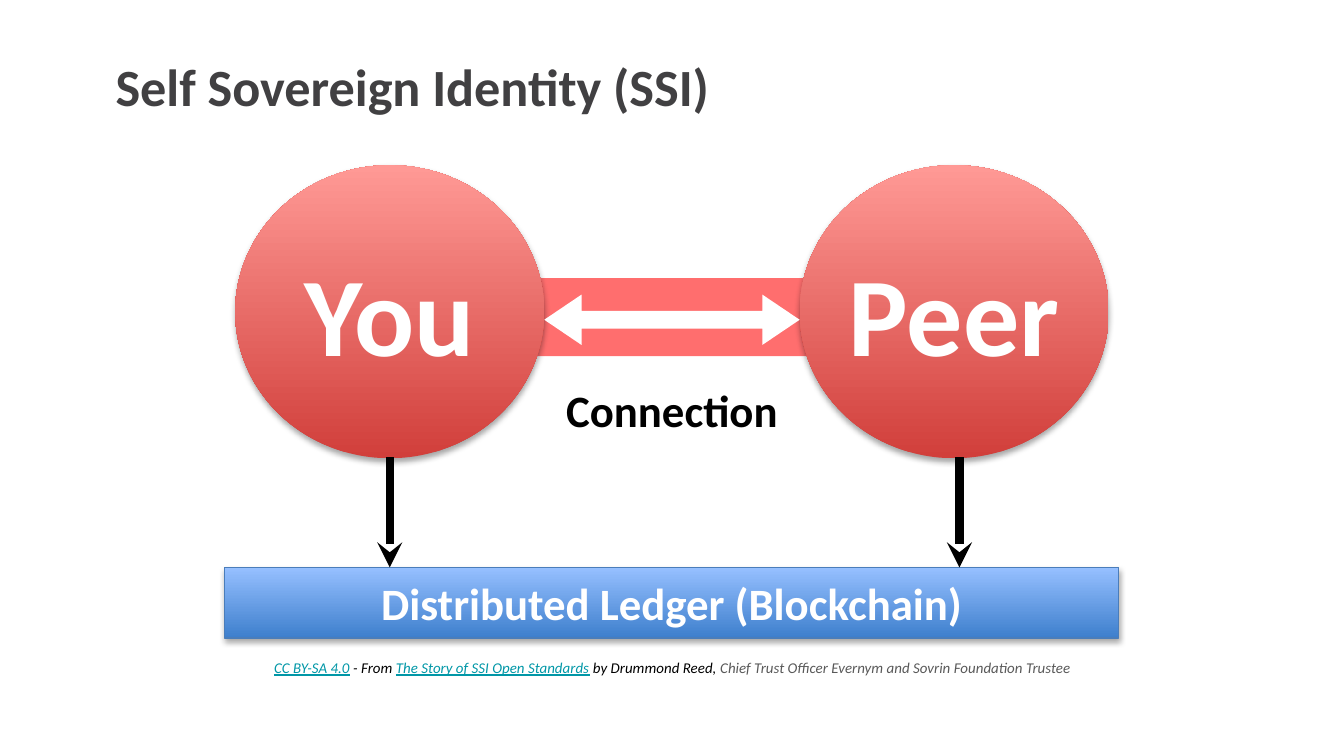
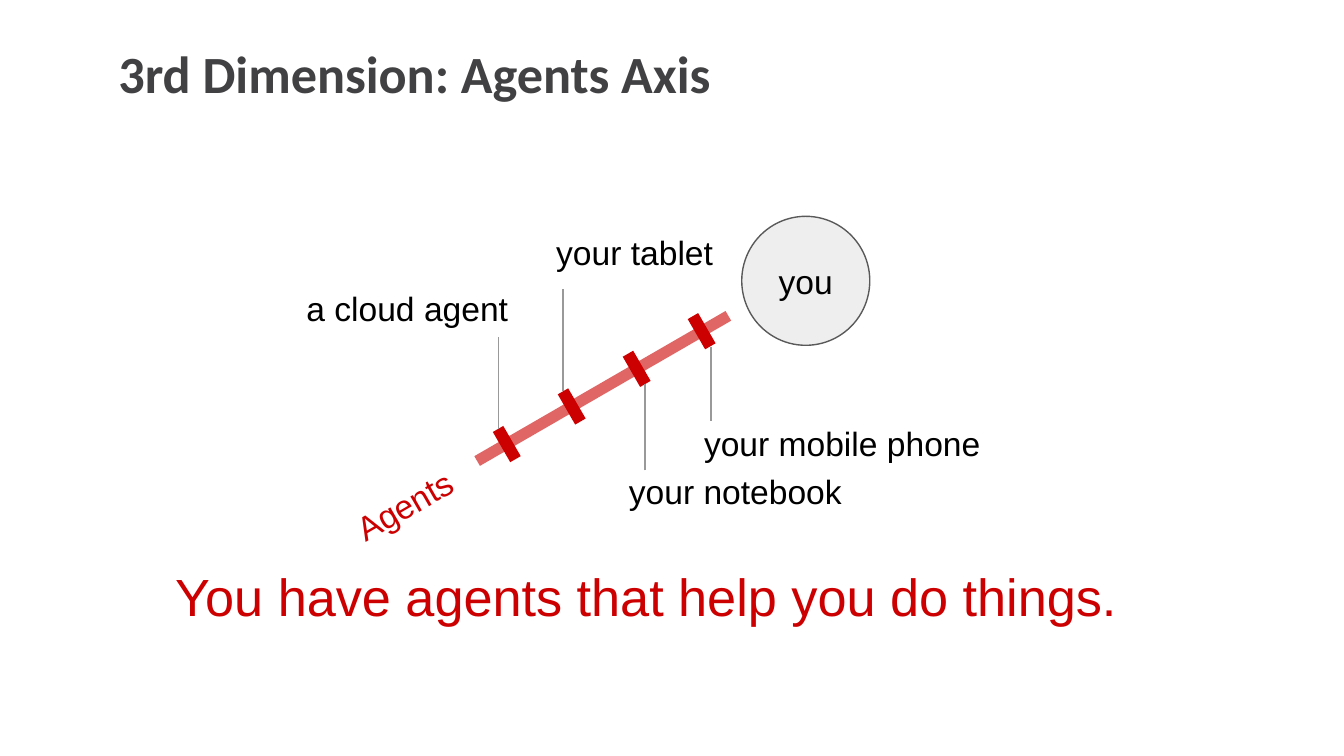
from lxml import etree
from pptx import Presentation
from pptx.dml.color import RGBColor
from pptx.enum.shapes import MSO_CONNECTOR, MSO_SHAPE
from pptx.enum.text import MSO_ANCHOR, MSO_AUTO_SIZE, PP_ALIGN
from pptx.oxml import parse_xml
from pptx.oxml.ns import nsdecls, qn
from pptx.util import Pt

RECTANGLE, OVAL = MSO_SHAPE.RECTANGLE, MSO_SHAPE.OVAL
DOUBLE_ARROW, STRAIGHT = MSO_SHAPE.LEFT_RIGHT_ARROW, MSO_CONNECTOR.STRAIGHT
TOP, MIDDLE = MSO_ANCHOR.TOP, MSO_ANCHOR.MIDDLE
LEFT, CENTER, RIGHT = PP_ALIGN.LEFT, PP_ALIGN.CENTER, PP_ALIGN.RIGHT
FIXED = MSO_AUTO_SIZE.NONE

COLORS = {name: RGBColor.from_string(value) for name, value in {
    "title": "414042", "black": "000000", "white": "FFFFFF", "gray": "595959",
    "link": "0097A7", "band": "FF0000", "red dark": "D13F3B", "red light": "FF9995",
    "blue dark": "3E7FCD", "blue light": "96C0FF", "blue line": "4A7DBA",
    "agent": "CC0000", "axis": "E06666", "leader": "999999", "pale": "EEEEEE",
}.items()}
SHADOW = (f'<a:outerShdw {nsdecls("a")} blurRad="40000" dist="23000" dir="5400000" '
          'rotWithShape="0"><a:srgbClr val="000000"><a:alpha val="35000"/>'
          '</a:srgbClr></a:outerShdw>')


def add_text(box, text, size=18, font="Arial", color="black", bold=False, italic=False,
             underline=False, align=LEFT, anchor=MIDDLE, inset_x=7.2, inset_y=7.2):
    """Append a run to the first paragraph of a box and format both."""
    frame = box.text_frame
    frame.auto_size, frame.word_wrap, frame.vertical_anchor = FIXED, True, anchor
    frame.margin_left = frame.margin_right = Pt(inset_x)
    frame.margin_top = frame.margin_bottom = Pt(inset_y)
    para = frame.paragraphs[0]
    para.alignment = align
    span = para.add_run()
    span.text = text
    span.font.size, span.font.name = Pt(size), font
    span.font.bold, span.font.italic, span.font.underline = bold, italic, underline
    span.font.color.rgb = COLORS[color]


def add_line(page, start_x, start_y, end_x, end_y, color, width):
    line = page.shapes.add_connector(STRAIGHT, Pt(start_x), Pt(start_y), Pt(end_x), Pt(end_y))
    line.line.color.rgb, line.line.width = COLORS[color], Pt(width)
    etree.SubElement(line._element.spPr, qn("a:effectLst"))
    return line


deck = Presentation()
deck.slide_width, deck.slide_height = Pt(720), Pt(405)

# Pages and their titles
pages = []
for title_text, left, top in [("Self Sovereign Identity (SSI)", 54.7, 21.6),
                              ("3rd Dimension: Agents Axis", 56.2, 15.1)]:
    page = deck.slides.add_slide(deck.slide_layouts[5])
    title = page.shapes.title
    title.left, title.top, title.width, title.height = Pt(left), Pt(top), Pt(600), Pt(46)
    add_text(title, title_text, size=28, font="Calibri", color="title", bold=True, anchor=TOP)
    pages.append(page)
identity_page, agents_page = pages

# Identity: translucent band behind the circles
band = identity_page.shapes.add_shape(RECTANGLE, Pt(262.8), Pt(149), Pt(193.7), Pt(41.8))
band.shadow.inherit = False
band.fill.solid()
band.fill.fore_color.rgb = COLORS["band"]
band.line.fill.background()
band_color = band._element.spPr.find(qn("a:solidFill"))[0]
etree.SubElement(band_color, qn("a:alpha"), val="57000")

# Identity: shaded circles and ledger bar
for text, shape_kind, left, top, width, height, hue, size, inset in [
        ("Peer", OVAL, 428.4, 88.5, 165.6, 157, "red", 60, 0),
        ("You", OVAL, 126, 88.5, 165.6, 157, "red", 60, 7.2),
        ("Distributed Ledger (Blockchain)", RECTANGLE, 120.4, 304, 479, 37.8, "blue", 24, 7.2)]:
    box = identity_page.shapes.add_shape(shape_kind, Pt(left), Pt(top), Pt(width), Pt(height))
    box.fill.gradient()
    box.fill.gradient_angle = 90
    for stop, shade in zip(box.fill.gradient_stops, ("dark", "light")):
        stop.color.rgb = COLORS[f"{hue} {shade}"]
    if shape_kind == RECTANGLE:
        box.line.color.rgb, box.line.width = COLORS["blue line"], Pt(0.75)
    else:
        box.line.fill.background()
    box.shadow.inherit = False
    box._element.spPr.find(qn("a:effectLst")).append(parse_xml(SHADOW))
    add_text(box, text, size=size, font="Calibri", color="white", bold=True,
             align=CENTER, inset_x=inset, inset_y=3.6)

# Identity: connection arrow and its label
arrow = identity_page.shapes.add_shape(DOUBLE_ARROW, Pt(291.6), Pt(157.8), Pt(136.8), Pt(27))
arrow.adjustments[0], arrow.adjustments[1] = 0.35, 0.74
arrow.shadow.inherit = False
arrow.fill.solid()
arrow.fill.fore_color.rgb = COLORS["white"]
arrow.line.fill.background()
label = identity_page.shapes.add_textbox(Pt(288), Pt(201.6), Pt(144), Pt(32.4))
add_text(label, "Connection", size=24, font="Calibri", bold=True,
         align=CENTER, anchor=TOP, inset_y=3.6)

# Identity: arrows down to the ledger
for x in (208.8, 514):
    line = add_line(identity_page, x, 245, x, 304, "black", 4.5)
    etree.SubElement(line.line._get_or_add_ln(), qn("a:tailEnd"), type="stealth")

# Identity: credit line
credit = identity_page.shapes.add_textbox(Pt(57.6), Pt(345.6), Pt(605.5), Pt(16.6))
for text, color in [("CC BY-SA 4.0", "link"), (" - From ", "black"),
                    ("The Story of SSI Open Standards", "link"),
                    (" by Drummond Reed, ", "black"),
                    ("Chief Trust Officer Evernym and Sovrin Foundation Trustee", "gray")]:
    add_text(credit, text, size=8, font="Calibri", color=color, italic=True,
             underline=color == "link", align=CENTER, anchor=TOP)

# Agents: message and axis name
message = agents_page.shapes.add_textbox(Pt(54.7), Pt(269.3), Pt(582.5), Pt(99.4))
add_text(message, "You have agents that help you do things.", size=28, color="agent",
         align=CENTER)
axis_name = agents_page.shapes.add_textbox(Pt(162), Pt(257.8), Pt(90.7), Pt(34.6))
axis_name.rotation = 330
add_text(axis_name, "Agents", color="agent", align=RIGHT, anchor=TOP)

# Agents: axis and the person at its end
add_line(agents_page, 390.2, 169.2, 255.6, 247, "axis", 6)
person = agents_page.shapes.add_shape(OVAL, Pt(397.4), Pt(115.9), Pt(68.6), Pt(69.1))
person.shadow.inherit = False
person.fill.solid()
person.fill.fore_color.rgb = COLORS["pale"]
person.line.color.rgb, person.line.width = COLORS["gray"], Pt(0.75)
add_text(person, "you", align=CENTER)

# Agents: evenly spaced ticks, each with a leader and a label
for index, (text, left, top, width, align, leader_x, leader_start, leader_end) in enumerate([
        ("a cloud agent", 148.3, 153.4, 131, RIGHT, 267.1, 229.7, 180.7),
        ("your tablet", 290.9, 123.1, 141.8, LEFT, 301.7, 209.5, 154.8),
        ("your notebook", 329.8, 251.3, 180.7, LEFT, 345.6, 252, 205.9),
        ("your mobile phone", 370.1, 225.4, 175, LEFT, 380.9, 225.4, 185.8)]):
    tick = agents_page.shapes.add_shape(
        RECTANGLE, Pt(262.1 + 34.8 * index), Pt(234.7 - 20.16 * index), Pt(18.7), Pt(6.5))
    tick.rotation = 60
    tick.shadow.inherit = False
    tick.fill.solid()
    tick.fill.fore_color.rgb = COLORS["agent"]
    tick.line.fill.background()
    add_line(agents_page, leader_x, leader_start, leader_x, leader_end, "leader", 0.75)
    label = agents_page.shapes.add_textbox(Pt(left), Pt(top), Pt(width), Pt(23.8))
    add_text(label, text, align=align)

deck.save("out.pptx")
